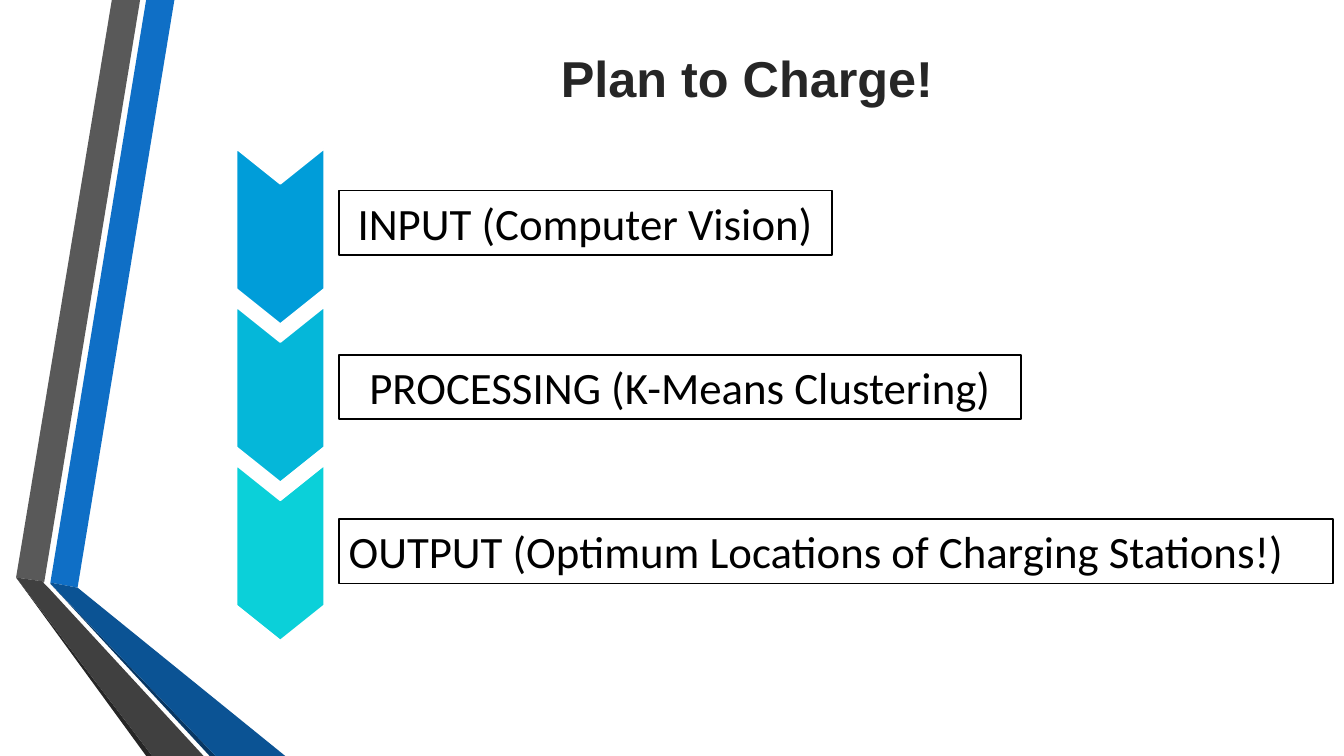
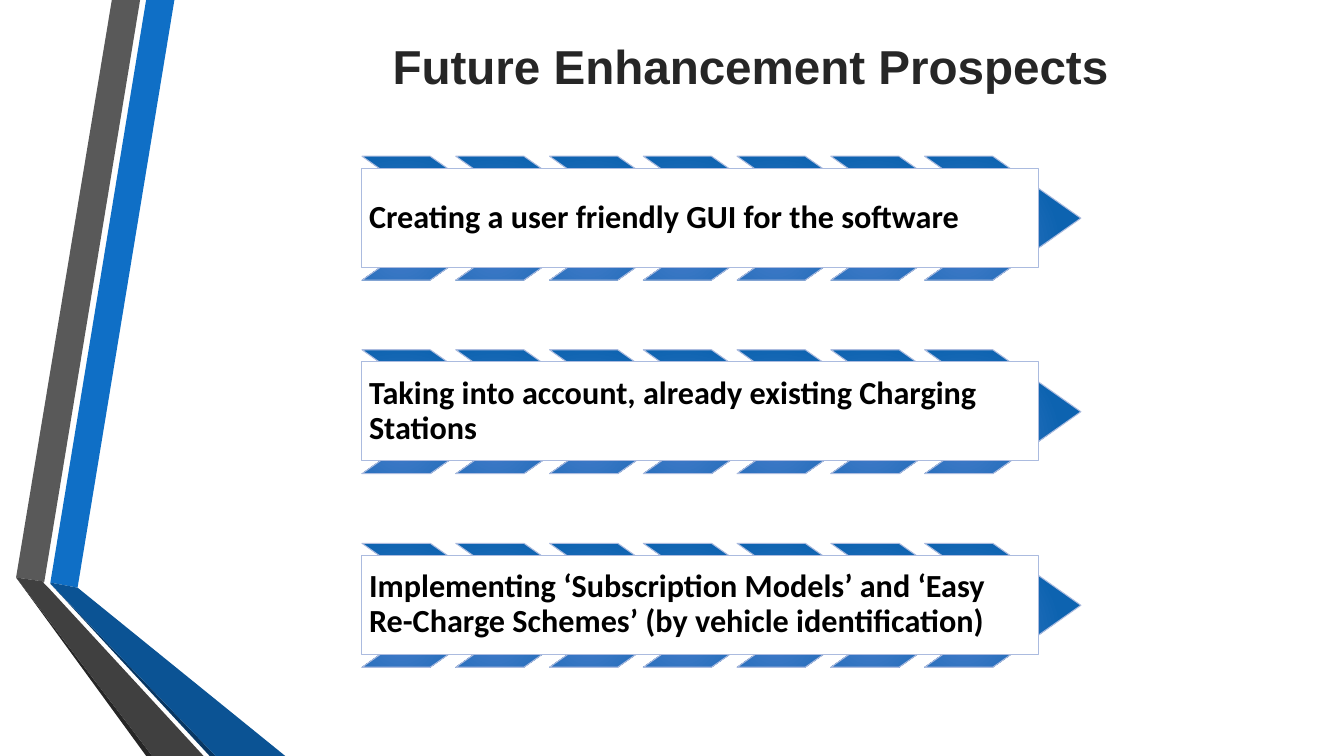
from dataclasses import dataclass

from lxml.etree import SubElement
from pptx import Presentation
from pptx.dml.color import RGBColor as RGB
from pptx.enum.shapes import MSO_SHAPE as SHAPE
from pptx.enum.text import MSO_ANCHOR as ANCHOR, PP_ALIGN as ALIGN
from pptx.oxml.ns import qn
from pptx.util import Inches, Pt


@dataclass(frozen=True)
class Theme:
    heading_font: str = "Arial"
    body_font: str = "Calibri"
    title_color: str = "262626"
    text: str = "000000"
    white: str = "FFFFFF"
    row_line: str = "ABBBDF"
    row_gradient: tuple = ("447CCA", "0D63B0")
    steps: tuple = ("009DD9", "05B7D9", "0BD0D9")
    step_size: int = 32
    row_size: int = 23
    box_line: float = 1.25
    row_line_width: float = 0.75
    title_outline: float = 1.06


# Side ribbon: colour and corner points, in inches, from back to front
RIBBON = [
    ("0F6FC6", [(0.5, 5.78), (0.77, 5.83), (1.73, 0), (1.45, 0)]),
    ("595959", [(1.39, 0), (1.11, 0), (0.16, 5.73), (0.44, 5.77)]),
    ("262626", [(0.16, 5.73), (1.45, 7.5), (1.51, 7.5)]),
    ("083763", [(0.5, 5.79), (2.08, 7.5), (2.14, 7.5)]),
    ("0B5394", [(0.5, 5.79), (2.14, 7.5), (2.83, 7.5), (0.77, 5.83), (0.5, 5.78)]),
    ("404040", [(2.02, 7.5), (0.48, 5.83), (0.43, 5.78), (0.44, 5.77),
                (0.16, 5.73), (1.51, 7.5)]),
]


class Deck:
    def __init__(self, theme):
        self.theme = theme
        self.prs = Presentation()
        self.prs.slide_width, self.prs.slide_height = Inches(13.33), Inches(7.5)
        self.slide = None

    def new_slide(self, title, box, size):
        self.slide = self.prs.slides.add_slide(self.prs.slide_layouts[6])
        for color, points in RIBBON:
            self.polygon(points, color)
        self.title(title, box, size)

    def polygon(self, points, color):
        (x, y), *rest = [(Inches(px), Inches(py)) for px, py in points]
        builder = self.slide.shapes.build_freeform(x, y)
        builder.add_line_segments(rest, close=True)
        sp = builder.convert_to_shape()
        self.paint(sp, color)

    def paint(self, sp, fill, line=None, width=0):
        sp.shadow.inherit = False
        if fill:
            sp.fill.solid()
            sp.fill.fore_color.rgb = RGB.from_string(fill)
        if line:
            sp.line.color.rgb = RGB.from_string(line)
            sp.line.width = Pt(width)
        else:
            sp.line.fill.background()

    def set_text(self, tf, text, font, size, color, bold=False, align=ALIGN.LEFT):
        p = tf.paragraphs[0]
        p.text, p.alignment = text, align
        p.font.name, p.font.size, p.font.bold = font, Pt(size), bold
        p.font.color.rgb = RGB.from_string(color)
        return p

    def title(self, text, box, size):
        t = self.theme
        tf = self.slide.shapes.add_textbox(*map(Inches, box)).text_frame
        tf.word_wrap = True
        p = self.set_text(tf, text, t.heading_font, size, t.title_color, True, ALIGN.CENTER)
        # Thin white outline around the letters
        r_pr = p.runs[0].font._element
        ln = SubElement(r_pr, qn("a:ln"), {"w": str(Pt(t.title_outline))})
        fill = SubElement(ln, qn("a:solidFill"))
        SubElement(fill, qn("a:srgbClr"), {"val": t.white})

    def chevron(self, box, point, fill, line, width, rotation=0):
        sp = self.slide.shapes.add_shape(SHAPE.CHEVRON, *map(Inches, box))
        sp.adjustments[0] = point
        sp.rotation = rotation
        self.paint(sp, fill, line, width)
        return sp

    def gradient_chevron(self, box):
        t = self.theme
        sp = self.chevron(box, 0.71, None, t.row_line, t.row_line_width)
        sp.fill.gradient()
        for stop, color in zip(sp.fill.gradient_stops, t.row_gradient):
            stop.color.rgb = RGB.from_string(color)
        # Radial instead of linear
        grad = sp._element.spPr.find(qn("a:gradFill"))
        grad.remove(grad.find(qn("a:lin")))
        radial = SubElement(grad, qn("a:path"), {"path": "circle"})
        SubElement(radial, qn("a:fillToRect"),
                   {"l": "50000", "t": "100000", "r": "100000", "b": "50000"})

    def panel(self, box, line, width):
        sp = self.slide.shapes.add_shape(SHAPE.RECTANGLE, *map(Inches, box))
        self.paint(sp, self.theme.white, line, width)
        sp.text_frame.word_wrap = True
        return sp.text_frame

    def step_box(self, box, text, align):
        t = self.theme
        tf = self.panel(box, t.text, t.box_line)
        tf.vertical_anchor = ANCHOR.TOP
        tf.word_wrap = align == ALIGN.LEFT
        self.set_text(tf, text, t.body_font, t.step_size, t.text, align=align)

    def arrow_row(self, left, top, text):
        t = self.theme
        for i in range(7):
            self.gradient_chevron((left + i * 0.93, top, 1.55, 1.23))
        tf = self.panel((left, top + 0.12, 6.71, 0.98), t.row_line, t.row_line_width)
        tf.vertical_anchor = ANCHOR.MIDDLE
        tf.margin_left = tf.margin_right = tf.margin_top = tf.margin_bottom = Inches(0.07)
        p = self.set_text(tf, text, t.body_font, t.row_size, t.text, bold=True)
        p.line_spacing = 0.9


def plan_slide(deck):
    t = deck.theme
    deck.new_slide("Plan to Charge!", (5.41, 0.42, 4, 0.71), 36)
    steps = [
        ("INPUT (Computer Vision)", 4.89, ALIGN.CENTER),
        ("PROCESSING (K-Means Clustering)", 6.77, ALIGN.CENTER),
        ("OUTPUT (Optimum Locations of Charging Stations!)", 9.86, ALIGN.LEFT),
    ]
    for i, color in enumerate(t.steps):
        deck.chevron((1.91, 1.91 + i * 1.57, 1.74, 0.87), 0.4, color,
                     t.white, t.box_line, rotation=90)
    for i, (text, width, align) in enumerate(steps):
        deck.step_box((3.36, 1.89 + i * 1.63, width, 0.64), text, align)


def future_slide(deck):
    deck.new_slide("Future Enhancement Prospects", (3.14, 0.32, 8.61, 0.67), 34)
    prospects = [
        "Creating a user friendly GUI for the software",
        "Taking into account, already existing Charging Stations",
        "Implementing ‘Subscription Models’ and ‘Easy Re-Charge Schemes’ "
        "(by vehicle identification)",
    ]
    for i, text in enumerate(prospects):
        deck.arrow_row(3.59, 1.55 + i * 1.92, text)


def main():
    deck = Deck(Theme())
    plan_slide(deck)
    future_slide(deck)
    deck.prs.save("out.pptx")


if __name__ == "__main__":
    main()
